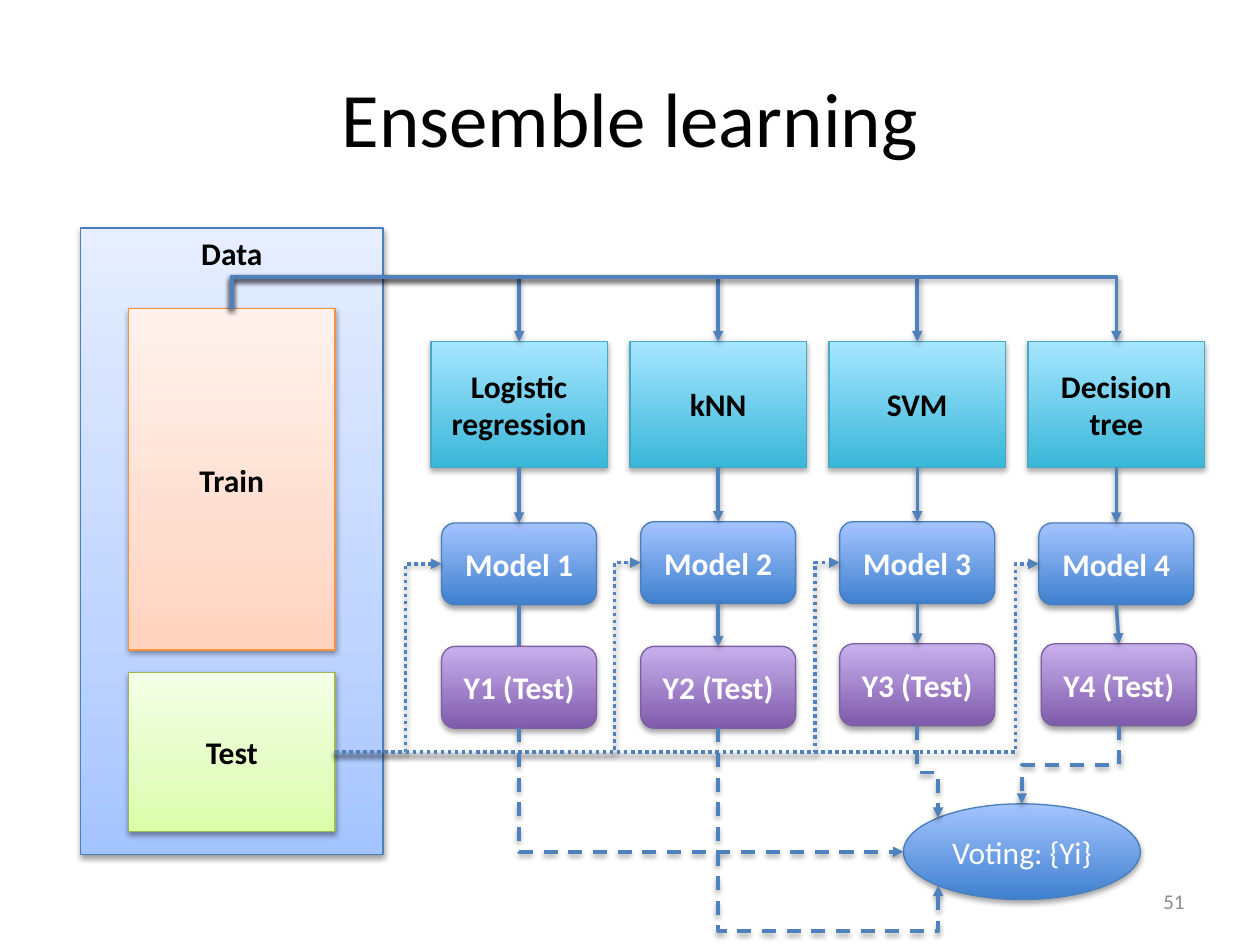
from collections import namedtuple
from dataclasses import dataclass
from math import sqrt

from lxml import etree
from pptx import Presentation
from pptx.dml.color import RGBColor
from pptx.enum.dml import MSO_LINE
from pptx.enum.shapes import MSO_CONNECTOR, MSO_SHAPE
from pptx.enum.text import MSO_ANCHOR, PP_ALIGN
from pptx.oxml.ns import qn
from pptx.util import Inches, Pt

RECT, ROUND, OVAL = MSO_SHAPE.RECTANGLE, MSO_SHAPE.ROUNDED_RECTANGLE, MSO_SHAPE.OVAL
STRAIGHT, ELBOW = MSO_CONNECTOR.STRAIGHT, MSO_CONNECTOR.ELBOW
DOT, DASH = MSO_LINE.ROUND_DOT, MSO_LINE.DASH
TOP, MIDDLE = MSO_ANCHOR.TOP, MSO_ANCHOR.MIDDLE
CENTER, RIGHT = PP_ALIGN.CENTER, PP_ALIGN.RIGHT

Box = namedtuple("Box", "x y w h")
Look = namedtuple("Look", "stops edge ink alpha drop")


@dataclass(frozen=True)
class Theme:
    font: str = "Calibri"
    title: int = 44
    label: int = 18
    small: int = 12
    black: str = "000000"
    white: str = "FFFFFF"
    grey: str = "8C8C8C"
    wire: str = "4F81BD"
    data: Look = Look([(0, "A4C4FF"), (35, "BFD4FF"), (100, "E6EEFF")], "4B7EBC", black, 38, 1.6)
    train: Look = Look([(0, "FFD2BD"), (35, "FFDED0"), (100, "FFF2ED")], "F69240", black, 38, 1.6)
    test: Look = Look([(0, "DAFDA7"), (35, "E4FCC2"), (100, "F5FFE7")], "98B955", black, 38, 1.6)
    method: Look = Look([(0, "39B7D8"), (100, "A7E6FF")], "46AAC5", black, 35, 1.8)
    model: Look = Look([(0, "3F80CE"), (100, "A4C4FF")], "4B7EBC", white, 35, 1.8)
    result: Look = Look([(0, "7F5BAB"), (100, "C8B0ED")], "7D60A0", white, 35, 1.8)


THEME = Theme()


def sub(node, tag, **attrs):
    return etree.SubElement(node, qn(tag), {k: str(v) for k, v in attrs.items()})


def shade(props, alpha, drop):
    """Give shape properties a soft shadow that falls straight down."""
    for old in props.findall(qn("a:effectLst")):
        props.remove(old)
    cast = sub(sub(props, "a:effectLst"), "a:outerShdw", blurRad=Pt(3.15), dist=Pt(drop),
               dir=90 * 60000, rotWithShape=0)
    sub(sub(cast, "a:srgbClr", val=THEME.black), "a:alpha", val=alpha * 1000)


def write(frame, text, size, ink, bold=False, align=CENTER, anchor=MIDDLE):
    frame.word_wrap = True
    frame.vertical_anchor = anchor
    para = frame.paragraphs[0]
    para.alignment = align
    run = para.add_run()
    run.text = text
    font = run.font
    font.name, font.size, font.bold = THEME.font, Pt(size), bold
    font.color.rgb = RGBColor.from_string(ink)


def block(slide, kind, box, text, look, bold=True, anchor=MIDDLE):
    shape = slide.shapes.add_shape(kind, *map(Inches, box))
    shape.fill.gradient()
    shape.fill.gradient_angle = 90
    props = shape._element.spPr
    stops = props.find(".//" + qn("a:gsLst"))
    for old in list(stops):
        stops.remove(old)
    for pos, color in look.stops:
        sub(sub(stops, "a:gs", pos=pos * 1000), "a:srgbClr", val=color)
    shape.line.color.rgb = RGBColor.from_string(look.edge)
    shape.line.width = Pt(0.75)
    shade(props, look.alpha, look.drop)
    write(shape.text_frame, text, THEME.label, look.ink, bold, anchor=anchor)
    return shape


def wire(slide, kind, start, end, dash=None):
    line = slide.shapes.add_connector(kind, *map(Inches, (*start, *end)))
    line.line.color.rgb = RGBColor.from_string(THEME.wire)
    line.line.width = Pt(2)
    if dash:
        line.line.dash_style = dash
    sub(line.line._get_or_add_ln(), "a:tailEnd", type="triangle")
    shade(line._element.spPr, 38, 1.6)
    return line


def bend(line, ratio):
    guides = line._element.spPr.find(".//" + qn("a:avLst"))
    sub(guides, "a:gd", name="adj1", fmla=f"val {round(ratio * 100000)}")


def across(slide, start, end, turn, dash=None):
    """Elbow that leaves sideways and turns at the given x."""
    line = wire(slide, ELBOW, start, end, dash)
    bend(line, (turn - start[0]) / (end[0] - start[0]))


def down(slide, start, end, turn=None, dash=None):
    """Elbow that leaves downwards and turns at the given y, or once only."""
    (x1, y1), (x2, y2) = start, end
    wide, tall = abs(x2 - x1), y2 - y1
    left, top = (x1 + x2 - tall) / 2, (y1 + y2 - wide) / 2
    line = wire(slide, ELBOW, (left, top), (left + tall, top + wide), dash)
    frame = line._element.spPr.find(qn("a:xfrm"))
    frame.set("rot", str((270 if x2 > x1 else 90) * 60000))
    if x2 > x1:
        frame.set("flipH", "1")
    if turn is None:
        line._element.spPr.find(qn("a:prstGeom")).set("prst", "bentConnector2")
    else:
        bend(line, (turn - y1) / tall)


def link(slide, upper, lower):
    line = wire(slide, STRAIGHT, (0, 0), (1, 1))
    line.begin_connect(upper, 2)
    line.end_connect(lower, 0)


def heading(slide, box, text):
    title = slide.shapes.title
    title.left, title.top, title.width, title.height = map(Inches, box)
    write(title.text_frame, text, THEME.title, THEME.black)


def number(slide, box, text):
    area = slide.shapes.add_textbox(*map(Inches, box))
    write(area.text_frame, text, THEME.small, THEME.grey, align=RIGHT)


def source(slide, box):
    """Data panel; returns the points where train and test wires leave."""
    block(slide, RECT, box, "Data", THEME.data, anchor=TOP)
    train = Box(box.x + 0.38, box.y + 0.64, 1.64, 2.71)
    test = Box(train.x, box.y + 3.53, train.w, 1.26)
    block(slide, RECT, train, "Train", THEME.train)
    block(slide, RECT, test, "Test", THEME.test)
    return (train.x + train.w / 2, train.y), (test.x + test.w, test.y + test.h / 2)


def branch(slide, box, count, name, rise, drop, shift):
    """Method, model and result; returns method top, model side, result foot."""
    mid, wide, tall = box.x + box.w / 2, 1.23, 0.65
    model_box = Box(mid - wide / 2, box.y + rise, wide, tall)
    out_box = Box(model_box.x + shift, box.y + drop, wide, tall)
    method = block(slide, RECT, box, name, THEME.method)
    model = block(slide, ROUND, model_box, f"Model {count}", THEME.model)
    link(slide, method, model)
    if count == 1:
        foot = model_box.y + tall
        stem = wire(slide, STRAIGHT, (mid, foot), (mid, foot + 0.54))
        stem.begin_connect(model, 2)
    out = block(slide, ROUND, out_box, f"Y{count} (Test)", THEME.result)
    if count > 1:
        link(slide, model, out)
    return ((mid, box.y), (model_box.x, model_box.y + tall / 2),
            (mid + shift, out_box.y + tall))


def voting(slide, box, feet):
    mid, center = box.x + box.w / 2, box.y + box.h / 2
    edge = mid - box.w / 2 / sqrt(2)
    rise = box.h / 2 / sqrt(2)
    ends = [(box.x, center), (edge, center + rise), (edge, center - rise), (mid, box.y)]
    turns = [None, box.y + 1.01, box.y - 0.25, box.y - 0.31]
    block(slide, OVAL, box, "Voting: {Yi}", THEME.model, bold=False)
    for foot, end, turn in zip(feet, ends, turns):
        down(slide, foot, end, turn, DASH)


def ensemble(slide):
    heading(slide, Box(0.5, 0.3, 9, 1.25), "Ensemble learning")
    number(slide, Box(7.17, 6.95, 2.33, 0.4), "51")
    train, test = source(slide, Box(0.64, 1.81, 2.4, 4.97))
    rows = [("Logistic regression", 1.44, 2.42, 0, 3.22),
            ("kNN", 1.43, 2.42, 0, 4.88),
            ("SVM", 1.43, 2.4, 0, 6.47),
            ("Decision tree", 1.44, 2.4, 0.02, 8.06)]
    feet = []
    for i, (name, rise, drop, shift, turn) in enumerate(rows):
        box = Box(3.42 + 1.58 * i, 2.71, 1.4, 1)
        top, side, foot = branch(slide, box, i + 1, name, rise, drop, shift)
        down(slide, train, top, train[1] - 0.25)
        across(slide, test, side, turn, DOT)
        feet.append(foot)
    voting(slide, Box(7.17, 6.38, 1.88, 0.76), feet)


def main():
    deck = Presentation()
    deck.slide_width, deck.slide_height = Inches(10), Inches(7.5)
    ensemble(deck.slides.add_slide(deck.slide_layouts[5]))
    deck.save("out.pptx")


if __name__ == "__main__":
    main()
